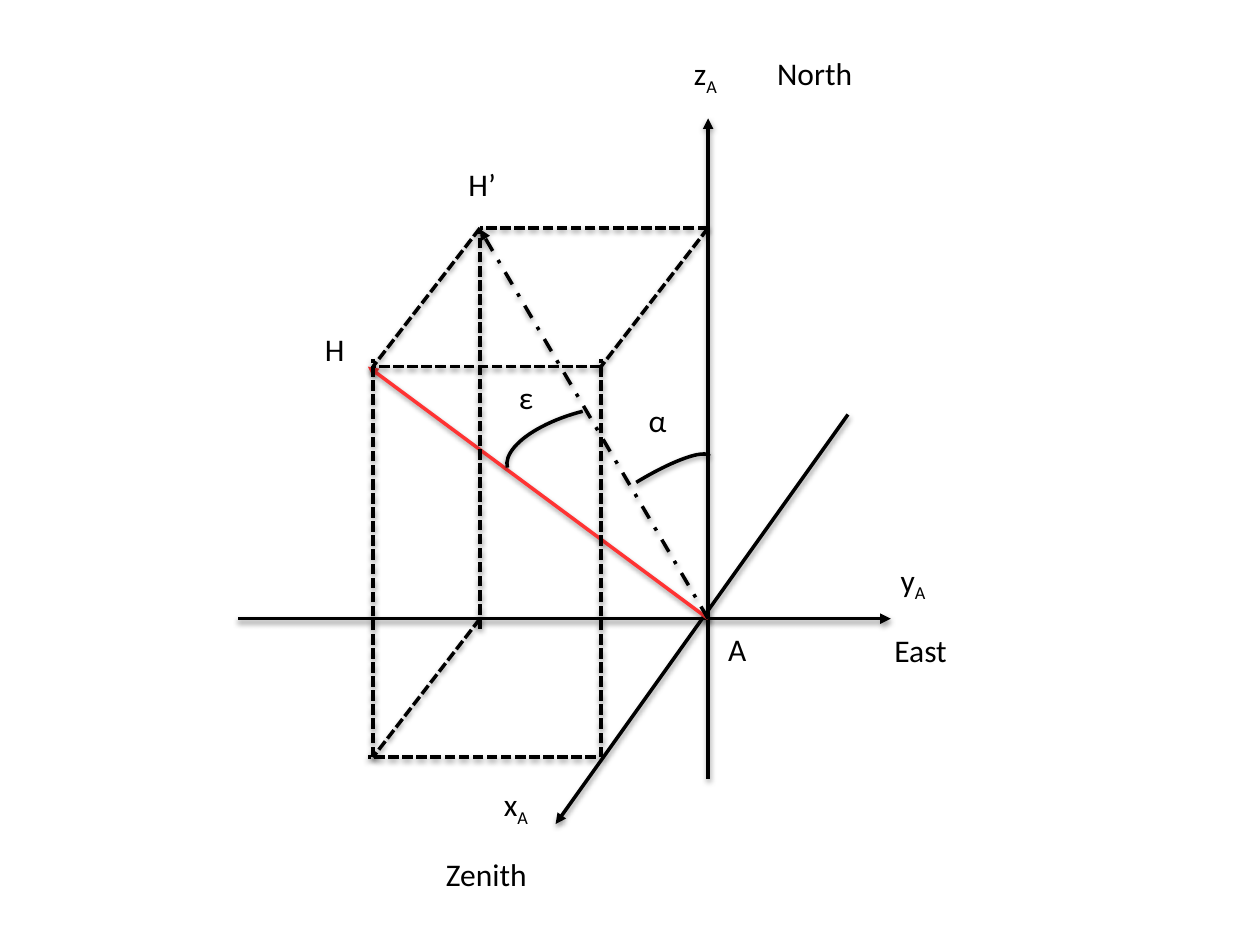
from lxml.etree import SubElement
from pptx import Presentation
from pptx.dml.color import RGBColor
from pptx.enum.dml import MSO_LINE
from pptx.enum.shapes import MSO_CONNECTOR, MSO_SHAPE
from pptx.oxml.ns import qn
from pptx.util import Inches, Pt

HUES = {"ink": "000000", "ray": "FF3333"}
FONT = {"name": "Calibri", "size": Pt(18)}
FRAME = {
    "word_wrap": False,
    "margin_left": Inches(0.1),
    "margin_right": Inches(0.1),
    "margin_top": Inches(0.05),
    "margin_bottom": Inches(0.05),
}


def apply(item, values):
    for key, value in values.items():
        setattr(item, key, value)


def tint(name):
    return RGBColor.from_string(HUES[name])


def shade(shape):
    props = shape._element.spPr
    glow = SubElement(props, qn("a:effectLst"))
    drop = SubElement(glow, qn("a:outerShdw"), blurRad=str(Pt(3.1)),
                      dist=str(Pt(1.6)), dir="5400000", rotWithShape="0")
    base = SubElement(drop, qn("a:srgbClr"), val=HUES["ink"])
    SubElement(base, qn("a:alpha"), val="38000")


def stroke(shape, hue="ink", dash=None):
    apply(shape.line, {"width": Pt(2), "dash_style": dash})
    shape.line.color.rgb = tint(hue)
    shade(shape)


def draw(slide, box, start, end, hue="ink", dash=None, arrow=False):
    left, top = box
    ends = [Inches(base + step) for point in (start, end)
            for base, step in zip((left, top), point)]
    line = slide.shapes.add_connector(MSO_CONNECTOR.STRAIGHT, *ends)
    stroke(line, hue, dash)
    if arrow:
        SubElement(line.line._get_or_add_ln(), qn("a:tailEnd"), type="triangle")


def label(slide, box, place, text, sub=""):
    x, y, wide, high = place
    area = slide.shapes.add_textbox(Inches(box[0] + x), Inches(box[1] + y),
                                    Inches(wide), Inches(high))
    apply(area.text_frame, FRAME)
    para = area.text_frame.paragraphs[0]
    for part in filter(None, (text, sub)):
        run = para.add_run()
        run.text = part
        apply(run.font, FONT)
        run.font.color.rgb = tint("ink")
        if part == sub:
            run.font._element.set("baseline", "-25000")


def axes(slide, box):
    for start, end in (
        ((-3.73, 0), (1.45, 0)),
        ((0, 1.27), (0, -3.97)),
        ((1.11, -1.62), (-1.21, 1.63)),
    ):
        draw(slide, box, start, end, arrow=True)
    for text, x, y, wide in (
        ("y", 1.43, -0.51, 0.45),
        ("z", -0.21, -4.53, 0.43),
        ("x", -1.72, 1.27, 0.45),
    ):
        label(slide, box, (x, y, wide, 0.44), text, "A")
    for text, x, y, wide in (
        ("East", 1.38, 0.05, 0.74),
        ("North", 0.45, -4.53, 0.9),
        ("Zenith", -2.18, 1.83, 1.01),
        ("A", 0.06, 0.04, 0.37),
    ):
        label(slide, box, (x, y, wide, 0.4), text)


def prism(slide, box):
    wide, high, deep, drop = 1.81, 3.1, 0.85, 1.1
    back, front = -wide, -wide - deep
    roof, edge = -high, drop - high
    over = 0.06
    for start, end in (
        ((back, roof), (front, edge)),
        ((0, roof), (back, roof)),
        ((0, roof), (-deep, edge)),
        ((-deep, edge), (front, edge)),
        ((-deep, drop), (-deep, edge - over)),
        ((front, drop), (front, edge - over)),
        ((-deep - 0.04, drop), (front - 0.04, drop)),
        ((back, 0), (front, drop)),
        ((back, 0.08), (back, roof)),
    ):
        draw(slide, box, start, end, dash=MSO_LINE.SQUARE_DOT)


def rays(slide, box):
    draw(slide, box, (0, 0), (-2.7, -2), hue="ray", arrow=True)
    draw(slide, box, (0, 0), (-1.81, -3.09), dash=MSO_LINE.DASH_DOT, arrow=True)
    label(slide, box, (-3.14, -2.34, 0.39, 0.4), "H")
    label(slide, box, (-2, -3.65, 0.47, 0.4), "H’")


def angles(slide, box):
    for place, turn, text, spot in (
        ((-1.21, -2.06, 0.57, 1.38), 255.7, "ε", (-1.6, -1.96, 0.33, 0.4)),
        ((-1.11, -1.1, 1.21, 0.25), 328.6, "α", (-0.57, -1.78, 0.36, 0.4)),
    ):
        x, y, wide, high = place
        arc = slide.shapes.add_shape(MSO_SHAPE.ARC, Inches(box[0] + x),
                                     Inches(box[1] + y), Inches(wide), Inches(high))
        arc.rotation = turn
        arc.fill.background()
        stroke(arc)
        label(slide, box, spot, text)


def main():
    deck = Presentation()
    apply(deck, {"slide_width": Inches(10), "slide_height": Inches(7.5)})
    slide = deck.slides.add_slide(deck.slide_layouts[6])
    origin = (5.62, 4.91)
    for part in (axes, rays, prism, angles):
        part(slide, origin)
    deck.save("out.pptx")


if __name__ == "__main__":
    main()
